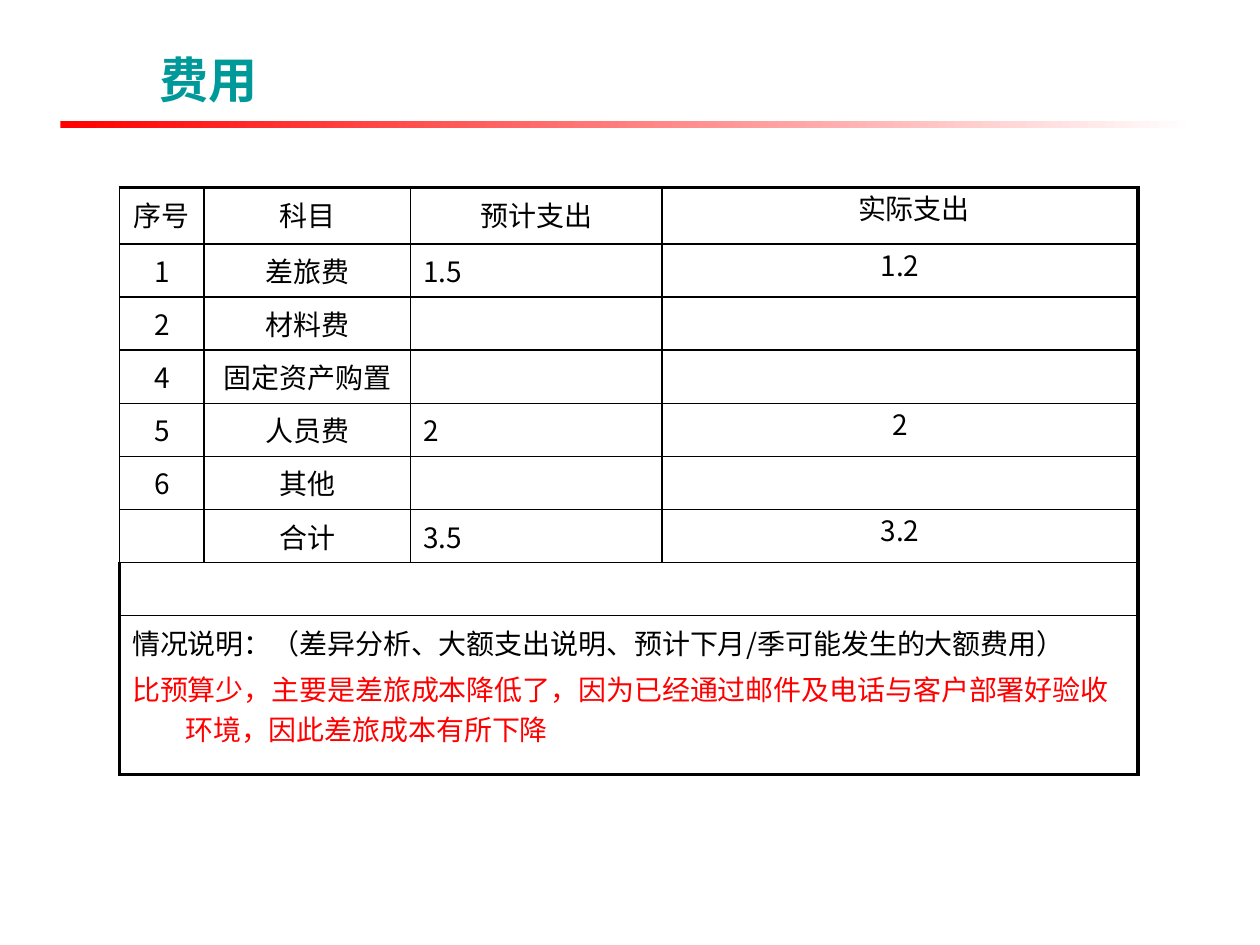
from lxml import etree
from pptx import Presentation
from pptx.dml.color import RGBColor
from pptx.enum.shapes import MSO_SHAPE
from pptx.enum.text import MSO_ANCHOR, MSO_AUTO_SIZE, PP_ALIGN
from pptx.oxml.ns import qn
from pptx.util import Cm, Pt

RECTANGLE = MSO_SHAPE.RECTANGLE
BOTTOM = MSO_ANCHOR.BOTTOM
NO_AUTOFIT = MSO_AUTO_SIZE.NONE
LEFT, CENTER = PP_ALIGN.LEFT, PP_ALIGN.CENTER
TEAL = RGBColor(0x00, 0x99, 0x99)
RED = RGBColor(0xFF, 0x00, 0x00)
WHITE = RGBColor(0xFF, 0xFF, 0xFF)
BLACK = RGBColor(0x00, 0x00, 0x00)
TITLE_FONT = "Arial"
BODY_FONT = "Noto Sans CJK SC"
BODY_SIZE = Pt(16)
THIN, THICK = Pt(1), Pt(2.25)
HANGING = Cm(1.07)

EXPENSES = [
    ("序号", "科目", "预计支出", "\u3000实际支出"),
    ("1", "差旅费", "1.5", "1.2"),
    ("2", "材料费", "", ""),
    ("4", "固定资产购置", "", ""),
    ("5", "人员费", "2", "2"),
    ("6", "其他", "", ""),
    ("", "合计", "3.5", "3.2"),
]
REMARKS = [
    ("情况说明：（差异分析、大额支出说明、预计下月/季可能发生的大额费用）", BLACK),
    ("比预算少，主要是差旅成本降低了，因为已经通过邮件及电话与客户部署好验收"
     "环境，因此差旅成本有所下降", RED),
]
COLUMN_SHARES = (0.083, 0.203, 0.247, 0.467)
ROW_HEIGHTS = [Cm(1.14)] + [Cm(1.07)] * 7 + [Cm(3.2)]


def add_heading(slide, left, top, width, height):
    rule = slide.shapes.add_shape(
        RECTANGLE, left, top + height - Cm(0.15), width, Cm(0.15))
    rule.shadow.inherit = False
    rule.line.fill.background()
    rule.fill.gradient()
    rule.fill.gradient_angle = 0
    for stop, color in zip(rule.fill.gradient_stops, (RED, WHITE)):
        stop.color.rgb = color

    title = slide.shapes.title
    title.left, title.top = left + Cm(1.75), top
    title.width, title.height = Cm(21.2), Cm(1.6)
    frame = title.text_frame
    frame.text = "费用"
    frame.auto_size = NO_AUTOFIT
    frame.vertical_anchor = BOTTOM
    paragraph = frame.paragraphs[0]
    paragraph.alignment = LEFT
    font = paragraph.runs[0].font
    font.name, font.size, font.bold = TITLE_FONT, Pt(28), True
    font.color.rgb = TEAL


def set_borders(cell, left, right, top, bottom):
    properties = cell._tc.get_or_add_tcPr()
    for side, weight in zip("LRTB", (left, right, top, bottom)):
        line = etree.SubElement(properties, qn(f"a:ln{side}"), w=str(weight))
        fill = etree.SubElement(line, qn("a:solidFill"))
        etree.SubElement(fill, qn("a:srgbClr"), val=str(BLACK))


def write_paragraph(paragraph, text, color=BLACK, alignment=LEFT, hanging=False):
    paragraph.text = text
    paragraph.alignment = alignment
    paragraph.space_before = Pt(3.2)
    if hanging:
        indents = paragraph._p.get_or_add_pPr()
        indents.set("marL", str(HANGING))
        indents.set("indent", str(-HANGING))
    for run in paragraph.runs:
        run.font.name, run.font.size = BODY_FONT, BODY_SIZE
        run.font.color.rgb = color
        east_asian = etree.SubElement(run._r.get_or_add_rPr(), qn("a:ea"))
        east_asian.set("typeface", BODY_FONT)
    if not text:
        etree.SubElement(paragraph._p, qn("a:endParaRPr"),
                         sz=str(int(BODY_SIZE.pt * 100)))


def add_expense_table(slide, left, top, width):
    last_column, last_row = len(COLUMN_SHARES) - 1, len(ROW_HEIGHTS) - 1
    table = slide.shapes.add_table(
        len(ROW_HEIGHTS), len(COLUMN_SHARES), left, top, width,
        sum(ROW_HEIGHTS)).table
    table.first_row = table.horz_banding = False
    for column, share in zip(table.columns, COLUMN_SHARES):
        column.width = int(width * share)
    for row, height in zip(table.rows, ROW_HEIGHTS):
        row.height = height
    for row in range(len(EXPENSES), len(ROW_HEIGHTS)):
        table.cell(row, 0).merge(table.cell(row, last_column))

    for row in range(len(ROW_HEIGHTS)):
        for column in range(len(COLUMN_SHARES)):
            cell = table.cell(row, column)
            set_borders(
                cell,
                THICK if row >= len(EXPENSES) and column == 0 else THIN,
                THICK if column == last_column or cell.is_merge_origin else THIN,
                THICK if row == 0 else THIN,
                THICK if row == last_row else THIN)
            cell.fill.background()
            if row < len(EXPENSES):
                estimate = row > 0 and column == 2
                write_paragraph(cell.text_frame.paragraphs[0],
                                EXPENSES[row][column],
                                alignment=LEFT if estimate else CENTER,
                                hanging=column < 2)
                if column == last_column:
                    cell.margin_left = cell.margin_right = 0
                    cell.margin_top = cell.margin_bottom = 0
            elif row < last_row:
                write_paragraph(cell.text_frame.paragraphs[0], "")

    remarks = table.cell(last_row, 0).text_frame
    remarks.text = "\n".join(text for text, color in REMARKS)
    for paragraph, (text, color) in zip(remarks.paragraphs, REMARKS):
        write_paragraph(paragraph, text, color, hanging=True)


presentation = Presentation()
presentation.slide_width, presentation.slide_height = Cm(25.4), Cm(19.05)
expense_slide = presentation.slides.add_slide(presentation.slide_layouts[5])
add_heading(expense_slide, Cm(1.22), Cm(0.71), Cm(22.86), Cm(1.88))
add_expense_table(expense_slide, Cm(2.41), Cm(3.78), Cm(20.53))
presentation.save("out.pptx")
